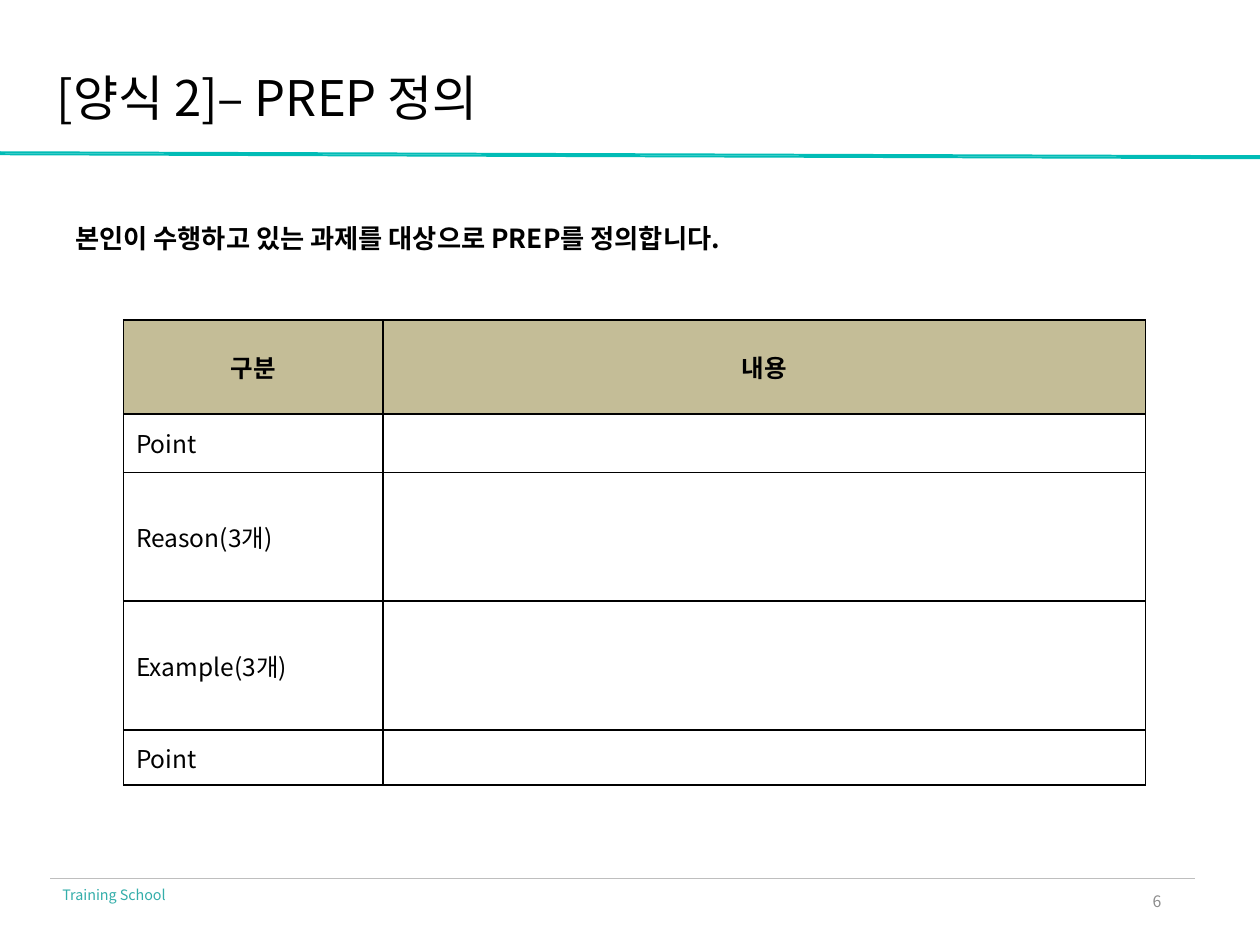
from dataclasses import dataclass

from lxml import etree
from pptx import Presentation
from pptx.dml.color import RGBColor
from pptx.enum.shapes import MSO_CONNECTOR
from pptx.enum.text import MSO_ANCHOR, PP_ALIGN
from pptx.oxml.ns import qn
from pptx.util import Cm, Pt

LEFT, CENTER, RIGHT = PP_ALIGN.LEFT, PP_ALIGN.CENTER, PP_ALIGN.RIGHT
TOP, MIDDLE = MSO_ANCHOR.TOP, MSO_ANCHOR.MIDDLE
STRAIGHT = MSO_CONNECTOR.STRAIGHT
TITLE_ONLY = 5


@dataclass(frozen=True)
class Theme:
    font: str = "Noto Sans CJK KR"
    ink: str = "000000"
    ribbon: str = "01BCB6"
    rule: str = "BEBEBE"
    number: str = "8C8C8C"
    school: str = "34AEAA"
    header: str = "C4BD97"
    title_size: float = 28
    lead_size: float = 15
    table_size: float = 14
    number_size: float = 9
    school_size: float = 8.2
    rule_width: float = 0.5
    border_width: float = 1


THEME = Theme()


@dataclass(frozen=True)
class Box:
    left: float
    top: float
    width: float
    height: float

    def lengths(self):
        return Cm(self.left), Cm(self.top), Cm(self.width), Cm(self.height)


def rgb(color):
    return RGBColor.from_string(color)


def write(frame, text, *, size, color=THEME.ink, bold=False, align=LEFT,
          spacing=None):
    para = frame.paragraphs[0]
    para.alignment = align
    if spacing:
        para.line_spacing = spacing
    if not text:
        etree.SubElement(para._p, qn("a:endParaRPr"), sz=str(int(size * 100)))
        return
    span = para.add_run()
    span.text = text
    span.font.name = THEME.font
    span.font.size = Pt(size)
    span.font.bold = bold
    span.font.color.rgb = rgb(color)
    east_asian = etree.SubElement(span._r.get_or_add_rPr(), qn("a:ea"))
    east_asian.set("typeface", THEME.font)


def add_text(page, box, text, *, anchor=TOP, **style):
    frame = page.shapes.add_textbox(*box.lengths()).text_frame
    frame.word_wrap = True
    frame.vertical_anchor = anchor
    write(frame, text, **style)


def add_title(page, box, text):
    title = page.shapes.title
    title.left, title.top, title.width, title.height = box.lengths()
    frame = title.text_frame
    frame.margin_left = frame.margin_right = 0
    frame.margin_top = frame.margin_bottom = 0
    frame.vertical_anchor = MIDDLE
    frame.word_wrap = True
    write(frame, text, size=THEME.title_size)


def add_ribbon(page, box):
    right = box.left + box.width
    drop, thickness = 0.08, 0.04
    for top in (box.top + thickness, box.top):
        points = [(box.left, top + thickness),
                  (right, top + thickness + drop),
                  (right, top + drop)]
        builder = page.shapes.build_freeform(Cm(box.left), Cm(top))
        builder.add_line_segments([(Cm(x), Cm(y)) for x, y in points])
        strip = builder.convert_to_shape()
        strip.shadow.inherit = False
        strip.fill.solid()
        strip.fill.fore_color.rgb = rgb(THEME.ribbon)
        strip.line.fill.background()


def add_footer(page, box, school, number):
    left, top, width, _ = box.lengths()
    rule = page.shapes.add_connector(STRAIGHT, left, top, left + width, top)
    rule.line.color.rgb = rgb(THEME.rule)
    rule.line.width = Pt(THEME.rule_width)
    etree.SubElement(rule._element.spPr, qn("a:effectLst"))
    add_text(page, Box(box.left, box.top + 0.03, 4, 0.6), school,
             size=THEME.school_size, color=THEME.school)
    number_width = 5.7
    number_left = box.left + box.width - number_width - 0.43
    add_text(page, Box(number_left, box.top - 0.05, number_width, 1.02),
             number, anchor=MIDDLE, align=RIGHT,
             size=THEME.number_size, color=THEME.number)


def add_borders(cell):
    properties = cell._tc.get_or_add_tcPr()
    for side in ("lnL", "lnR", "lnT", "lnB"):
        line = etree.SubElement(properties, qn(f"a:{side}"),
                                w=str(Pt(THEME.border_width)))
        fill = etree.SubElement(line, qn("a:solidFill"))
        etree.SubElement(fill, qn("a:srgbClr"), val=THEME.ink)


def add_form(page, box, rows, widths, heights):
    shape = page.shapes.add_table(len(rows), len(widths), *box.lengths())
    table = shape.table
    for column, width in zip(table.columns, widths):
        column.width = Cm(width)
    for index, (row, height, texts) in enumerate(
            zip(table.rows, heights, rows)):
        row.height = Cm(height)
        is_header = index == 0
        for cell, text in zip(row.cells, texts):
            add_borders(cell)
            if is_header:
                cell.fill.solid()
                cell.fill.fore_color.rgb = rgb(THEME.header)
            else:
                cell.fill.background()
            cell.vertical_anchor = MIDDLE
            write(cell.text_frame, text, size=THEME.table_size,
                  bold=is_header, align=CENTER if is_header else LEFT)


def main():
    deck = Presentation()
    deck.slide_width, deck.slide_height = Cm(25.4), Cm(19.05)
    page = deck.slides.add_slide(deck.slide_layouts[TITLE_ONLY])
    add_ribbon(page, Box(0, 3.05, 25.4, 0.13))
    add_footer(page, Box(1.01, 17.7, 23.08, 1), "Training School", "6")
    add_title(page, Box(1.14, 1.35, 22.94, 1.19), "[양식 2]– PREP 정의")
    add_text(page, Box(1.27, 4.04, 22.38, 1.07),
             "본인이 수행하고 있는 과제를 대상으로 PREP를 정의합니다.",
             size=THEME.lead_size, bold=True, spacing=1.5)
    labels = ["Point", "Reason(3개)", "Example(3개)", "Point"]
    add_form(page, Box(2.49, 6.45, 20.6, 9.37),
             [("구분", "내용")] + [(label, "") for label in labels],
             widths=[5.23, 15.37], heights=[1.9, 1.17, 2.6, 2.6, 1.1])
    deck.save("out.pptx")


if __name__ == "__main__":
    main()
